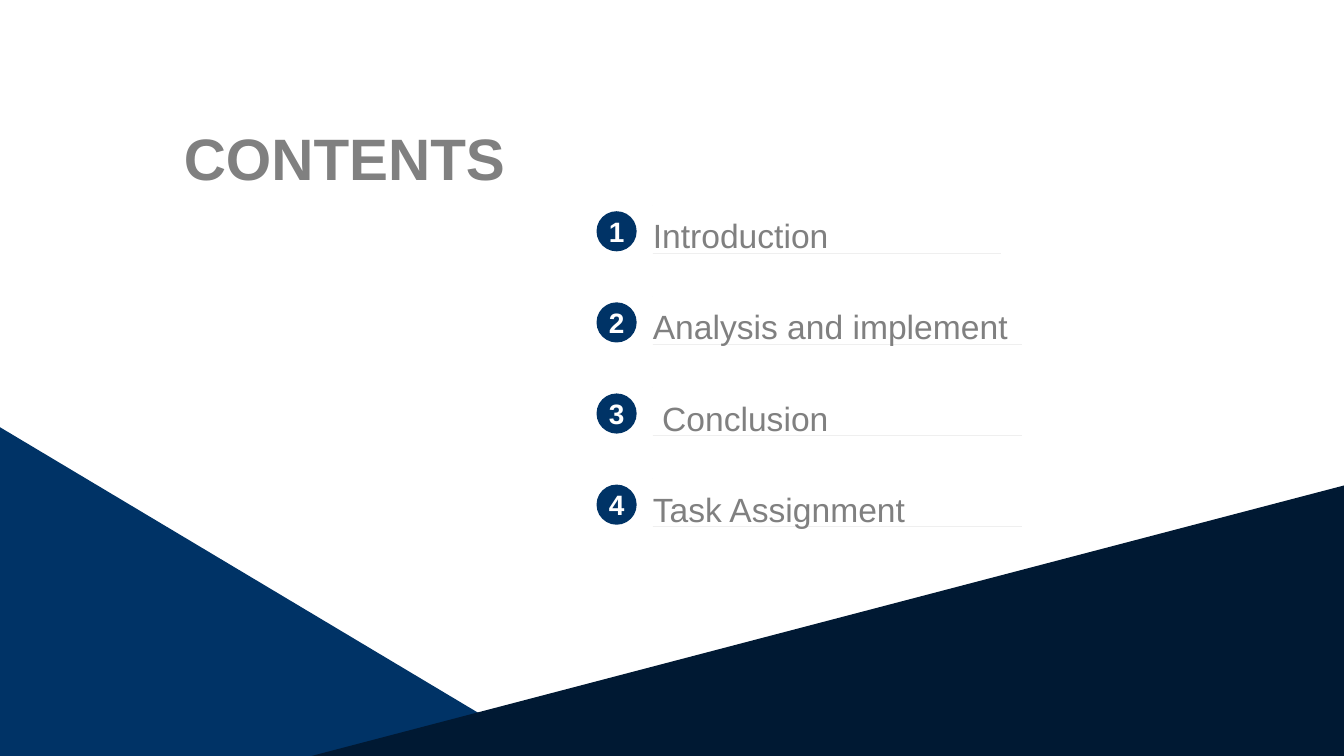
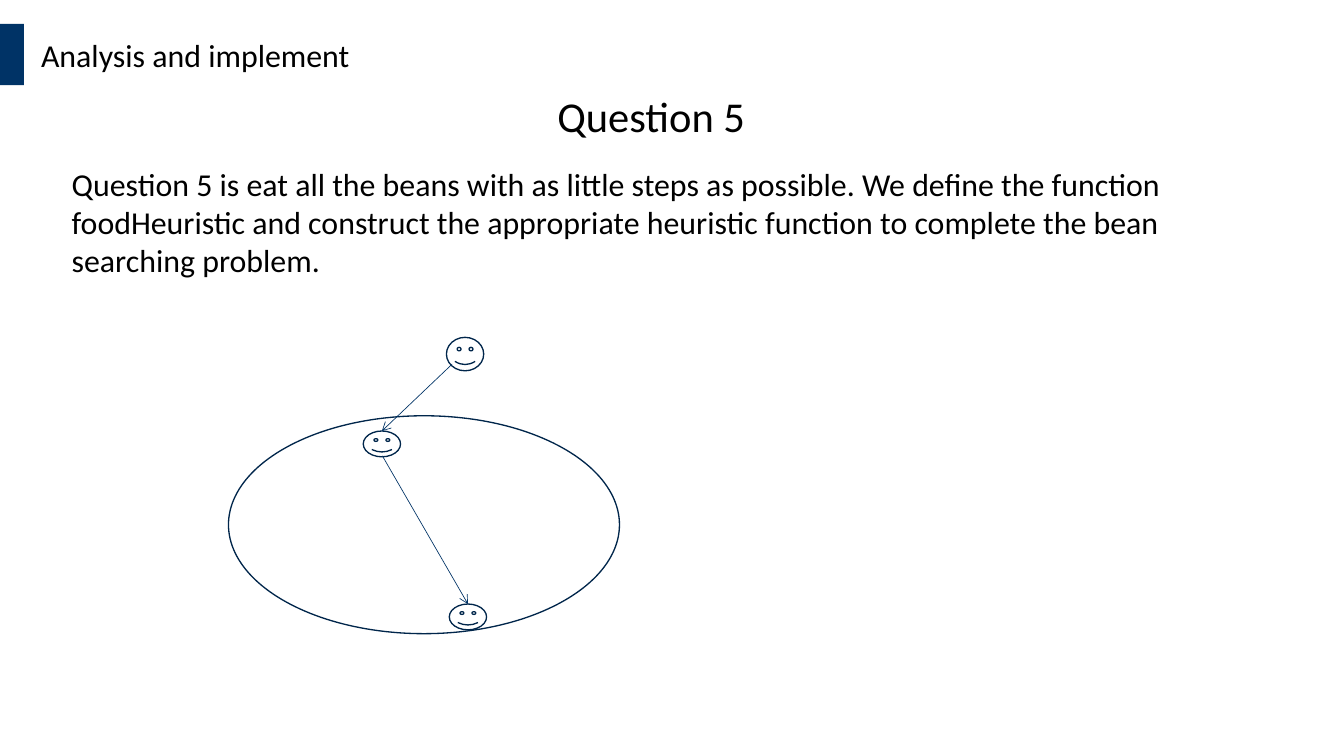
from dataclasses import dataclass
from typing import NamedTuple, Optional

from lxml import etree
from pptx import Presentation
from pptx.dml.color import RGBColor
from pptx.enum.shapes import MSO_CONNECTOR, MSO_SHAPE
from pptx.enum.text import MSO_ANCHOR, MSO_AUTO_SIZE, PP_ALIGN
from pptx.oxml.ns import qn
from pptx.shapes.autoshape import Shape
from pptx.slide import Slide
from pptx.text.text import TextFrame
from pptx.util import Inches, Pt

OVAL, RECTANGLE, SMILEY = MSO_SHAPE.OVAL, MSO_SHAPE.RECTANGLE, MSO_SHAPE.SMILEY_FACE
LEFT, CENTER = PP_ALIGN.LEFT, PP_ALIGN.CENTER
TOP, MIDDLE = MSO_ANCHOR.TOP, MSO_ANCHOR.MIDDLE
STRAIGHT = MSO_CONNECTOR.STRAIGHT
NO_AUTOFIT = MSO_AUTO_SIZE.NONE
TITLE_AND_CONTENT, TITLE_ONLY = 1, 5
TOP_SITE = 0

SLIDE_WIDTH, SLIDE_HEIGHT = 14.06, 7.91


class TextStyle(NamedTuple):
    font: str
    size: float
    color: RGBColor
    bold: bool = False
    align: PP_ALIGN = LEFT
    line_spacing: Optional[float] = None


class Box(NamedTuple):
    left: float
    top: float
    width: float
    height: float


class Point(NamedTuple):
    x: float
    y: float


class Entry(NamedTuple):
    text: str
    width: float = 3.86


@dataclass(frozen=True)
class Theme:
    navy: RGBColor = RGBColor(0x00, 0x33, 0x66)
    midnight: RGBColor = RGBColor(0x00, 0x19, 0x33)
    outline: RGBColor = RGBColor(0x00, 0x26, 0x4B)
    gray: RGBColor = RGBColor(0x80, 0x80, 0x80)
    white: RGBColor = RGBColor(0xFF, 0xFF, 0xFF)
    black: RGBColor = RGBColor(0x00, 0x00, 0x00)

    @property
    def contents_title(self) -> TextStyle:
        return TextStyle("Arial", 44, self.gray, True, CENTER)

    @property
    def contents_entry(self) -> TextStyle:
        return TextStyle("Arial", 25.3, self.gray, line_spacing=1.3)

    @property
    def badge(self) -> TextStyle:
        return TextStyle("Arial", 21.1, self.white, True, CENTER)

    @property
    def question(self) -> TextStyle:
        return TextStyle("Calibri", 32, self.black)

    @property
    def body(self) -> TextStyle:
        return TextStyle("Calibri", 24, self.black)


THEME = Theme()

ENTRIES = (
    Entry("Introduction", 3.64),
    Entry("Analysis and implement"),
    Entry(" Conclusion"),
    Entry("Task Assignment"),
)
ENTRY_LEFT, FIRST_ENTRY_TOP, ENTRY_HEIGHT = 6.83, 2.15, 0.5
BADGE_LEFT, FIRST_BADGE_TOP, LAST_BADGE_TOP, BADGE_SIZE = 6.24, 2.21, 5.07, 0.42
ENTRY_PITCH = (LAST_BADGE_TOP - FIRST_BADGE_TOP) / (len(ENTRIES) - 1)


def inches(values: tuple[float, ...]) -> list[Inches]:
    return [Inches(value) for value in values]


def write(
    frame: TextFrame,
    text: str,
    style: TextStyle,
    anchor: MSO_ANCHOR = TOP,
    padded: bool = False,
) -> None:
    frame.auto_size = NO_AUTOFIT
    frame.word_wrap = True
    frame.vertical_anchor = anchor
    frame.margin_left = frame.margin_right = Inches(0.1 if padded else 0)
    frame.margin_top = frame.margin_bottom = Inches(0.05 if padded else 0)
    paragraph = frame.paragraphs[0]
    paragraph.text = text
    paragraph.alignment = style.align
    paragraph.space_before = Pt(0)
    paragraph.line_spacing = style.line_spacing
    paragraph.font.name = style.font
    paragraph.font.size = Pt(style.size)
    paragraph.font.bold = style.bold
    paragraph.font.color.rgb = style.color


def place(holder: Shape, box: Box) -> TextFrame:
    holder.left, holder.top, holder.width, holder.height = inches(box)
    return holder.text_frame


def remove_bullets(frame: TextFrame) -> None:
    for paragraph in frame.paragraphs:
        properties = paragraph._p.get_or_add_pPr()
        properties.set("marL", "0")
        properties.set("indent", "0")
        properties.find(qn("a:defRPr")).addprevious(etree.Element(qn("a:buNone")))


def paint(shape: Shape, color: RGBColor) -> None:
    shape.shadow.inherit = False
    shape.fill.solid()
    shape.fill.fore_color.rgb = color
    shape.line.fill.background()


def add_solid(slide: Slide, kind: MSO_SHAPE, box: Box, color: RGBColor) -> Shape:
    shape = slide.shapes.add_shape(kind, *inches(box))
    paint(shape, color)
    return shape


def add_outlined(slide: Slide, kind: MSO_SHAPE, box: Box) -> Shape:
    shape = slide.shapes.add_shape(kind, *inches(box))
    shape.shadow.inherit = False
    shape.fill.background()
    shape.line.color.rgb = THEME.outline
    shape.line.width = Pt(1)
    return shape


def add_triangle(slide: Slide, corners: list[Point], color: RGBColor) -> None:
    start, *others = [inches(corner) for corner in corners]
    builder = slide.shapes.build_freeform(*start)
    builder.add_line_segments(others, close=True)
    paint(builder.convert_to_shape(), color)


def add_underlined_entry(slide: Slide, entry: Entry, top: float) -> None:
    """Draw a label whose outline is a hairline below and an empty corner above."""
    left, right, upper, lower = inches(
        (ENTRY_LEFT, ENTRY_LEFT + entry.width, top, top + ENTRY_HEIGHT)
    )
    builder = slide.shapes.build_freeform(left, lower)
    builder.add_line_segments([(right, lower), (left, lower)], close=True)
    builder.move_to(left, upper)
    builder.add_line_segments([(left, upper)], close=True)
    label = builder.convert_to_shape()
    paint(label, THEME.gray)
    write(label.text_frame, entry.text, THEME.contents_entry, MIDDLE)


def add_arrow(slide: Slide, start: Point, target: Shape) -> None:
    """Draw an arrow from a point to the top of the target."""
    arrow = slide.shapes.add_connector(STRAIGHT, *inches(start + start))
    arrow.end_connect(target, TOP_SITE)
    arrow.line.color.rgb = THEME.navy
    arrow.line.width = Pt(0.5)
    etree.SubElement(arrow.line._get_or_add_ln(), qn("a:tailEnd"), type="arrow")
    etree.SubElement(arrow._element.spPr, qn("a:effectLst"))


def build_contents(slide: Slide) -> None:
    title_frame = place(slide.shapes.title, Box(1.8, 1.28, 3.61, 0.74))
    write(title_frame, "CONTENTS", THEME.contents_title)

    for index, entry in enumerate(ENTRIES):
        offset = index * ENTRY_PITCH
        badge_box = Box(BADGE_LEFT, FIRST_BADGE_TOP + offset, BADGE_SIZE, BADGE_SIZE)
        badge = add_solid(slide, OVAL, badge_box, THEME.navy)
        write(badge.text_frame, str(index + 1), THEME.badge, MIDDLE)
        add_underlined_entry(slide, entry, FIRST_ENTRY_TOP + offset)

    bottom_left = Point(0, SLIDE_HEIGHT)
    bottom_right = Point(SLIDE_WIDTH, SLIDE_HEIGHT)
    add_triangle(
        slide, [Point(0, 4.47), Point(5.76, SLIDE_HEIGHT), bottom_left], THEME.navy
    )
    add_triangle(
        slide,
        [Point(SLIDE_WIDTH, 5.08), bottom_right, Point(3.26, SLIDE_HEIGHT)],
        THEME.midnight,
    )


def build_question(slide: Slide) -> None:
    title, explanation = slide.placeholders
    add_solid(slide, RECTANGLE, Box(0, 0.25, 0.25, 0.64), THEME.navy)
    section = slide.shapes.add_textbox(*inches(Box(0.43, 0.37, 3.93, 0.4)))
    write(section.text_frame, "Analysis and implement", THEME.body)
    title_frame = place(title, Box(5.73, 0.89, 2.28, 0.64))
    write(title_frame, "Question 5", THEME.question, padded=True)
    explanation_frame = place(explanation, Box(0.65, 1.67, 12.44, 1.31))
    write(
        explanation_frame,
        "Question 5 is eat all the beans with as little steps as possible. "
        "We define the function foodHeuristic and construct the appropriate "
        "heuristic function to complete the bean searching problem.",
        THEME.body,
        padded=True,
    )
    remove_bullets(explanation_frame)

    add_outlined(slide, OVAL, Box(2.39, 4.35, 4.09, 2.28))
    add_outlined(slide, SMILEY, Box(4.67, 3.53, 0.39, 0.35))
    last_bean = add_outlined(slide, SMILEY, Box(4.7, 6.32, 0.39, 0.27))
    first_bean = add_outlined(slide, SMILEY, Box(3.8, 4.51, 0.39, 0.27))
    add_arrow(slide, Point(4.73, 3.81), first_bean)
    add_arrow(slide, Point(4, 4.77), last_bean)


def main() -> None:
    deck = Presentation()
    deck.slide_width, deck.slide_height = inches((SLIDE_WIDTH, SLIDE_HEIGHT))
    pages = ((TITLE_ONLY, build_contents), (TITLE_AND_CONTENT, build_question))
    for layout, build in pages:
        build(deck.slides.add_slide(deck.slide_layouts[layout]))
    deck.save("out.pptx")


if __name__ == "__main__":
    main()
